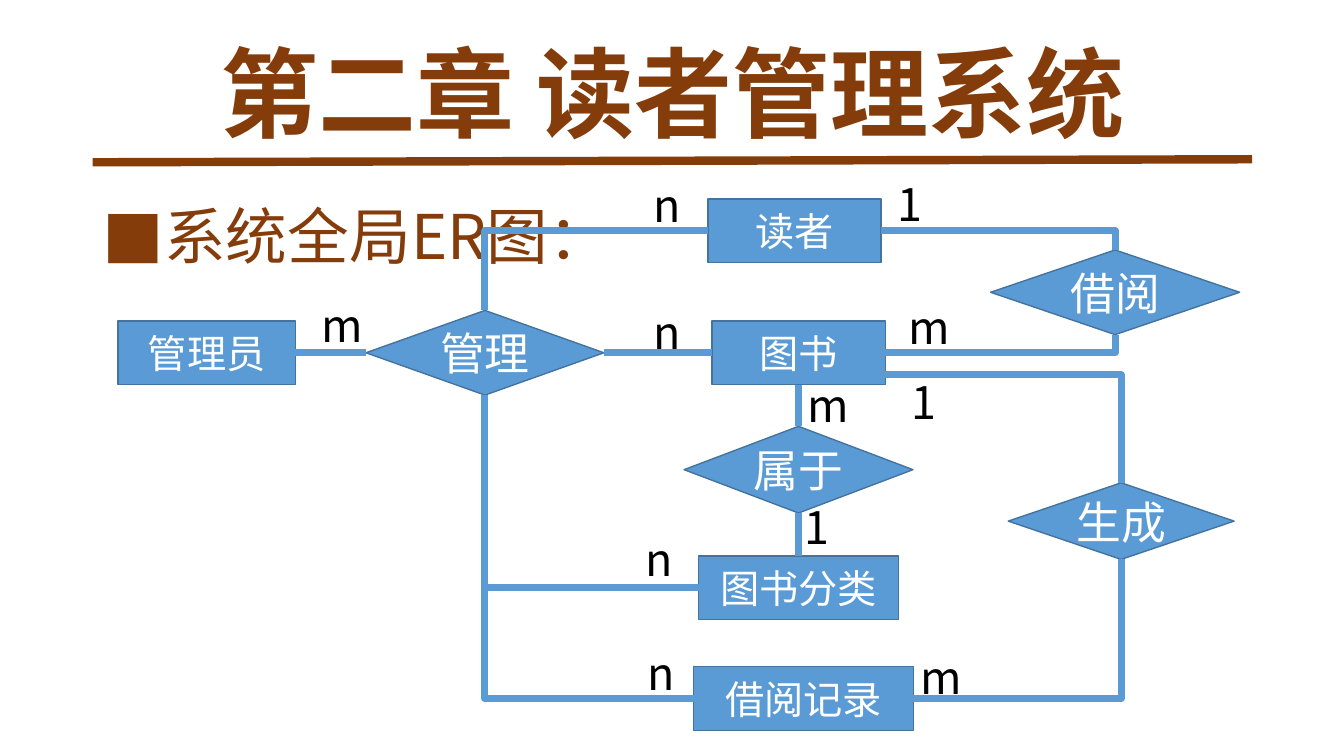
from lxml import etree
from pptx import Presentation
from pptx.dml.color import RGBColor
from pptx.enum.shapes import MSO_CONNECTOR as LINK, MSO_SHAPE as SHAPE
from pptx.enum.text import MSO_ANCHOR as ANCHOR, MSO_AUTO_SIZE as FIT, PP_ALIGN as ALIGN
from pptx.oxml.ns import qn
from pptx.util import Inches, Pt

# Content
FONT = "Noto Sans CJK SC"
COLORS = {"brown": "843C0B", "blue": "5B9BD5", "edge": "43739E",
          "white": "FFFFFF", "black": "000000"}
CHAPTER = "第二章 读者管理系统"
TOPIC = "系统全局ER图："

# Grid: centre lines of columns and rows, in inches
COLUMNS = {"staff": 2.05, "manage": 4.81, "books": 7.92, "lending": 11.06, "making": 11.12}
ROWS = {"reader": 2.29, "borrow": 2.9, "book": 3.5, "belong": 4.66,
        "create": 5.17, "category": 5.83, "record": 6.93}
ENTITY_HEIGHT = 0.63

# name: column, row, width, nudge from the column
ENTITIES = {
    "借阅记录": ("books", "record", 2.18, 0.05),
    "图书分类": ("books", "category", 1.98, 0),
    "图书": ("books", "book", 1.72, 0),
    "管理员": ("staff", "book", 1.76, 0),
    "读者": ("books", "reader", 1.72, -0.04),
}
# name: column, row, width, height
RELATIONS = {
    "生成": ("making", "create", 2.24, 0.76),
    "属于": ("books", "belong", 2.27, 0.86),
    "借阅": ("lending", "borrow", 2.47, 0.84),
    "管理": ("manage", "book", 2.36, 0.84),
}
# entity, its side, relation, its side
TOP, LEFT, BOTTOM, RIGHT = range(4)
STRAIGHT_LINKS = [
    ("管理员", RIGHT, "管理", LEFT), ("图书", LEFT, "管理", RIGHT),
    ("图书", BOTTOM, "属于", TOP), ("图书分类", TOP, "属于", BOTTOM),
]
ELBOW_LINKS = [
    ("读者", LEFT, "管理", TOP), ("读者", RIGHT, "借阅", TOP),
    ("图书", RIGHT, "借阅", BOTTOM), ("图书分类", LEFT, "管理", BOTTOM),
    ("借阅记录", LEFT, "管理", BOTTOM), ("借阅记录", RIGHT, "生成", BOTTOM),
]
# cardinality: left and top of each label
CARDINALITIES = {
    "m": [(3.09, 2.9), (7.91, 3.7), (8.91, 2.92), (9.03, 6.4)],
    "n": [(6.38, 1.71), (6.38, 2.97), (6.3, 5.23), (6.32, 6.36)],
    "1": [(7.88, 4.91), (8.94, 3.67), (8.8, 1.7)],
}
LABEL_WIDTHS = {"m": 0.58, "n": 0.45, "1": 0.44}

deck = Presentation()
deck.slide_width, deck.slide_height = Inches(13.33), Inches(7.5)
slide = deck.slides.add_slide(deck.slide_layouts[5])
shapes = slide.shapes


def color(key):
    return RGBColor.from_string(COLORS[key])


def write(frame, text, size, ink, bold=False, align=ALIGN.LEFT, anchor=ANCHOR.TOP,
          wrap=True, fit=FIT.NONE, spacing=1.0):
    frame.word_wrap, frame.auto_size, frame.vertical_anchor = wrap, fit, anchor
    paragraph = frame.paragraphs[0]
    paragraph.alignment, paragraph.line_spacing = align, spacing
    run = paragraph.add_run()
    run.text = text
    font = run.font
    font.size, font.bold, font.name = Pt(size), bold, FONT
    font.color.rgb = color(ink)
    etree.SubElement(font._element, qn("a:ea")).set("typeface", FONT)
    return paragraph


def add_node(kind, text, size, x, y, width, height):
    node = shapes.add_shape(kind, Inches(x - width / 2), Inches(y - height / 2),
                            Inches(width), Inches(height))
    node.shadow.inherit = False
    node.fill.solid()
    node.fill.fore_color.rgb = color("blue")
    node.line.color.rgb, node.line.width = color("edge"), Pt(1)
    write(node.text_frame, text, size, "white", align=ALIGN.CENTER,
          anchor=ANCHOR.MIDDLE, wrap=kind != SHAPE.DIAMOND)
    return node


def add_line(kind, start, end, ink, weight):
    line = shapes.add_connector(kind, *(Inches(v) for v in start + end))
    line.line.color.rgb, line.line.width = color(ink), Pt(weight)
    properties = line._element.spPr
    etree.SubElement(properties, qn("a:effectLst"))
    if kind == LINK.ELBOW:  # one corner: across, then up or down
        properties.find(qn("a:prstGeom")).set("prst", "bentConnector2")
    return line


# Title, topic and rule
title = shapes.title
title.left, title.top, title.width, title.height = map(Inches, (0.92, 0.25, 11.5, 1.45))
write(title.text_frame, CHAPTER, 70, "brown", bold=True, align=ALIGN.CENTER,
      anchor=ANCHOR.MIDDLE, spacing=0.9)

topic = shapes.add_textbox(*map(Inches, (0.92, 2, 11.5, 5.5)))
topic_line = write(topic.text_frame, TOPIC, 44, "brown", spacing=0.9)
topic_line.space_before = Pt(10)
bullet = topic_line._element.get_or_add_pPr()
bullet.set("marL", str(Inches(0.25)))
bullet.set("indent", str(-Inches(0.25)))
etree.SubElement(bullet, qn("a:buFont")).set("typeface", FONT)
etree.SubElement(bullet, qn("a:buChar")).set("char", "■")

add_line(LINK.STRAIGHT, (0.92, 1.61), (12.42, 1.58), "brown", 6)

# Entities and relations
nodes = {}
for name, (column, row, width, nudge) in ENTITIES.items():
    nodes[name] = add_node(SHAPE.RECTANGLE, name, 28, COLUMNS[column] + nudge,
                           ROWS[row], width, ENTITY_HEIGHT)
for name, (column, row, width, height) in RELATIONS.items():
    nodes[name] = add_node(SHAPE.DIAMOND, name, 32, COLUMNS[column], ROWS[row], width, height)

# Links
for kind, links in ((LINK.STRAIGHT, STRAIGHT_LINKS), (LINK.ELBOW, ELBOW_LINKS)):
    for entity, entity_side, relation, relation_side in links:
        link = add_line(kind, (0, 0), (1, 1), "blue", 5)
        link.begin_connect(nodes[entity], entity_side)
        link.end_connect(nodes[relation], relation_side)

# The second link on the right of 图书 leaves below its middle
create_top = ROWS["create"] - RELATIONS["生成"][3] / 2
add_line(LINK.ELBOW, (8.74, 3.72), (COLUMNS["making"], create_top), "blue", 5)

# Cardinalities
for mark, places in CARDINALITIES.items():
    for left, top in places:
        label = shapes.add_textbox(Inches(left), Inches(top),
                                   Inches(LABEL_WIDTHS[mark]), Inches(0.64))
        write(label.text_frame, mark, 32, "black", wrap=False, fit=FIT.SHAPE_TO_FIT_TEXT)

deck.save("out.pptx")
